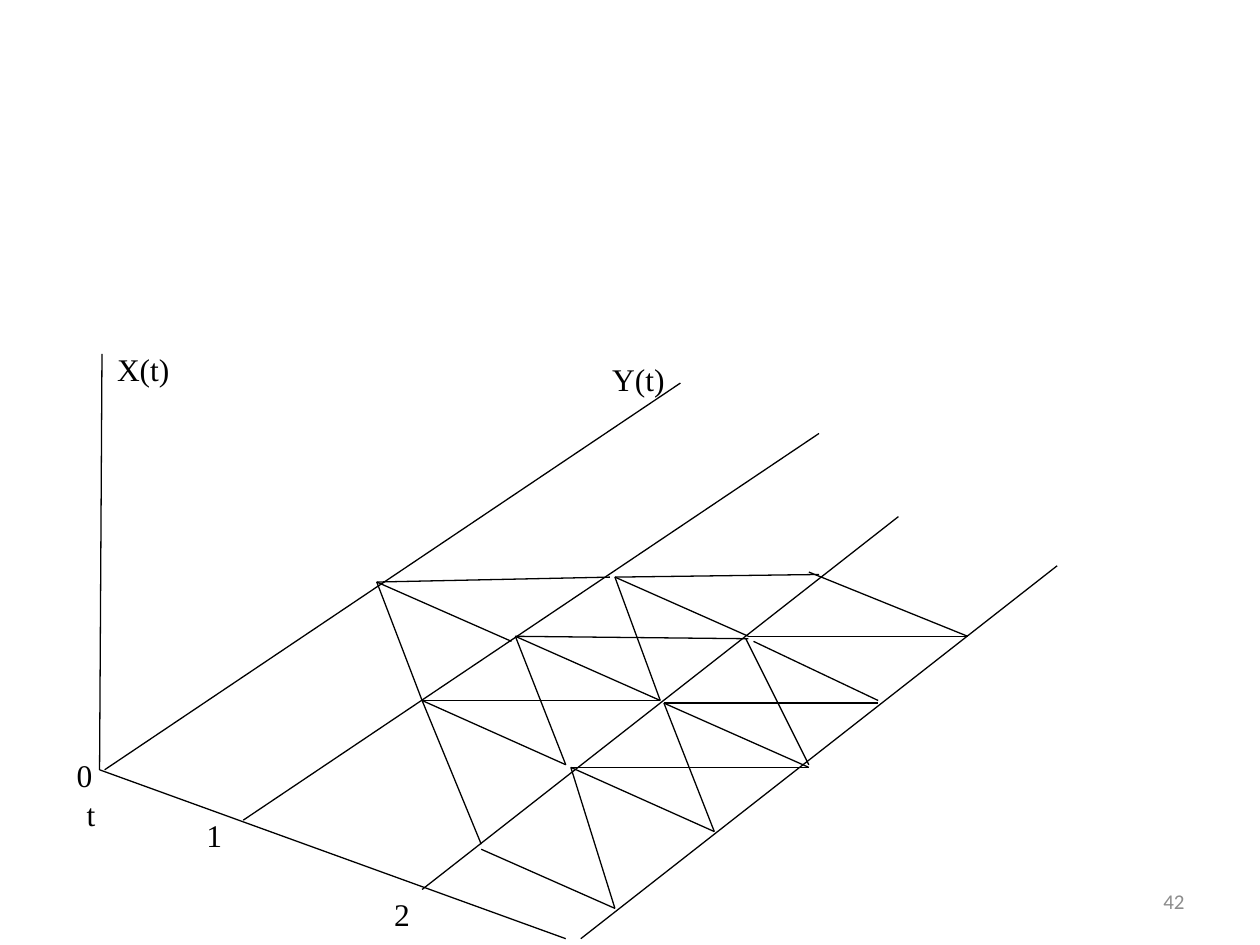
from dataclasses import dataclass

from lxml.etree import SubElement
from pptx import Presentation
from pptx.dml.color import RGBColor as Rgb
from pptx.enum.shapes import MSO_CONNECTOR as Connector
from pptx.enum.text import MSO_ANCHOR as Anchor, MSO_AUTO_SIZE as AutoSize, PP_ALIGN as Align
from pptx.oxml.ns import qn
from pptx.util import Pt


@dataclass(frozen=True)
class Theme:
    ink: Rgb = Rgb(0, 0, 0)
    muted: Rgb = Rgb(0x8C, 0x8C, 0x8C)
    label_font: str = "Times New Roman"
    number_font: str = "Calibri"
    label_size: float = 18
    number_size: float = 12
    stroke: float = 0.75


class LatticeSlide:
    """Draws the parts of a lattice diagram on one slide in one theme."""

    def __init__(self, slide, theme):
        self.shapes = slide.shapes
        self.theme = theme

    def segment(self, start, end):
        edge = self.shapes.add_connector(Connector.STRAIGHT, *map(Pt, start + end))
        edge.line.color.rgb = self.theme.ink
        edge.line.width = Pt(self.theme.stroke)
        SubElement(edge._element.spPr, qn("a:effectLst"))

    def fan(self, node, tips):
        for tip in tips:
            self.segment(node, tip)

    def text(self, wording, box, frame_format, align, font_format, color):
        frame = self.shapes.add_textbox(*map(Pt, box)).text_frame
        paragraph = frame.paragraphs[0]
        paragraph.text = wording
        paragraph.alignment = align
        font = paragraph.runs[0].font
        for target, values in ((frame, frame_format), (font, font_format)):
            for attribute, value in values.items():
                setattr(target, attribute, value)
        font.color.rgb = color

    def label(self, wording, left, top, width=28):
        self.text(
            wording, (left, top, width, 29),
            {"word_wrap": True, "auto_size": AutoSize.SHAPE_TO_FIT_TEXT},
            Align.LEFT,
            {"name": self.theme.label_font, "size": Pt(self.theme.label_size)},
            self.theme.ink,
        )

    def page_number(self, wording):
        self.text(
            wording, (516, 500.5, 168, 28.75),
            {"word_wrap": True, "vertical_anchor": Anchor.MIDDLE},
            Align.RIGHT,
            {"name": self.theme.number_font, "size": Pt(self.theme.number_size)},
            self.theme.muted,
        )


AXES = [
    ((58.3, 202.3), (56.9, 439.9)),
    ((56.9, 439.9), (323.3, 536.4)),
]
TIME_SLICES = [
    ((59.8, 439.9), (388.8, 218.9)),
    ((139, 468.7), (468, 247.7)),
    ((241.2, 508.3), (513.4, 295.2)),
    ((331.9, 536.4), (604.1, 323.3)),
]
BRANCHES = {
    (215.3, 332.6): [(292.3, 366.5), (348.5, 329.8), (241.2, 400.3)],
    (294.5, 363.6): [(377.3, 400.3), (427.7, 365), (323.3, 437)],
    (351.4, 329.8): [(427.7, 363.6), (468, 328.3), (377.3, 400.3)],
    (241.2, 400.3): [(323.3, 437), (377.3, 400.3), (275, 482.4)],
    (462.2, 326.9): [(553, 363.6)],
    (379.4, 401.8): [(462.2, 438.5), (501.8, 401.8), (408.2, 475.2)],
    (430.6, 366.5): [(501.8, 400.3)],
    (427.7, 363.6): [(553, 363.6)],
    (426.2, 365): [(462.2, 437)],
    (326.2, 438.5): [(408.2, 475.2), (462.2, 438.5), (351.4, 519.1)],
    (275, 485.3): [(351.4, 519.1)],
}
LABELS = [
    ("X(t)", 59.8, 196.6, 45.4),
    ("t", 42.5, 450.7),
    ("1", 110.9, 463),
    ("0", 36.7, 428.4),
    ("2", 218.2, 507.6),
    ("Y(t)", 342.7, 202.3, 45.4),
]


def main():
    deck = Presentation()
    deck.slide_width, deck.slide_height = Pt(720), Pt(540)
    lattice = LatticeSlide(deck.slides.add_slide(deck.slide_layouts[6]), Theme())
    lattice.page_number("42")
    for start, end in AXES + TIME_SLICES:
        lattice.segment(start, end)
    for node, tips in BRANCHES.items():
        lattice.fan(node, tips)
    for label in LABELS:
        lattice.label(*label)
    deck.save("out.pptx")


if __name__ == "__main__":
    main()
